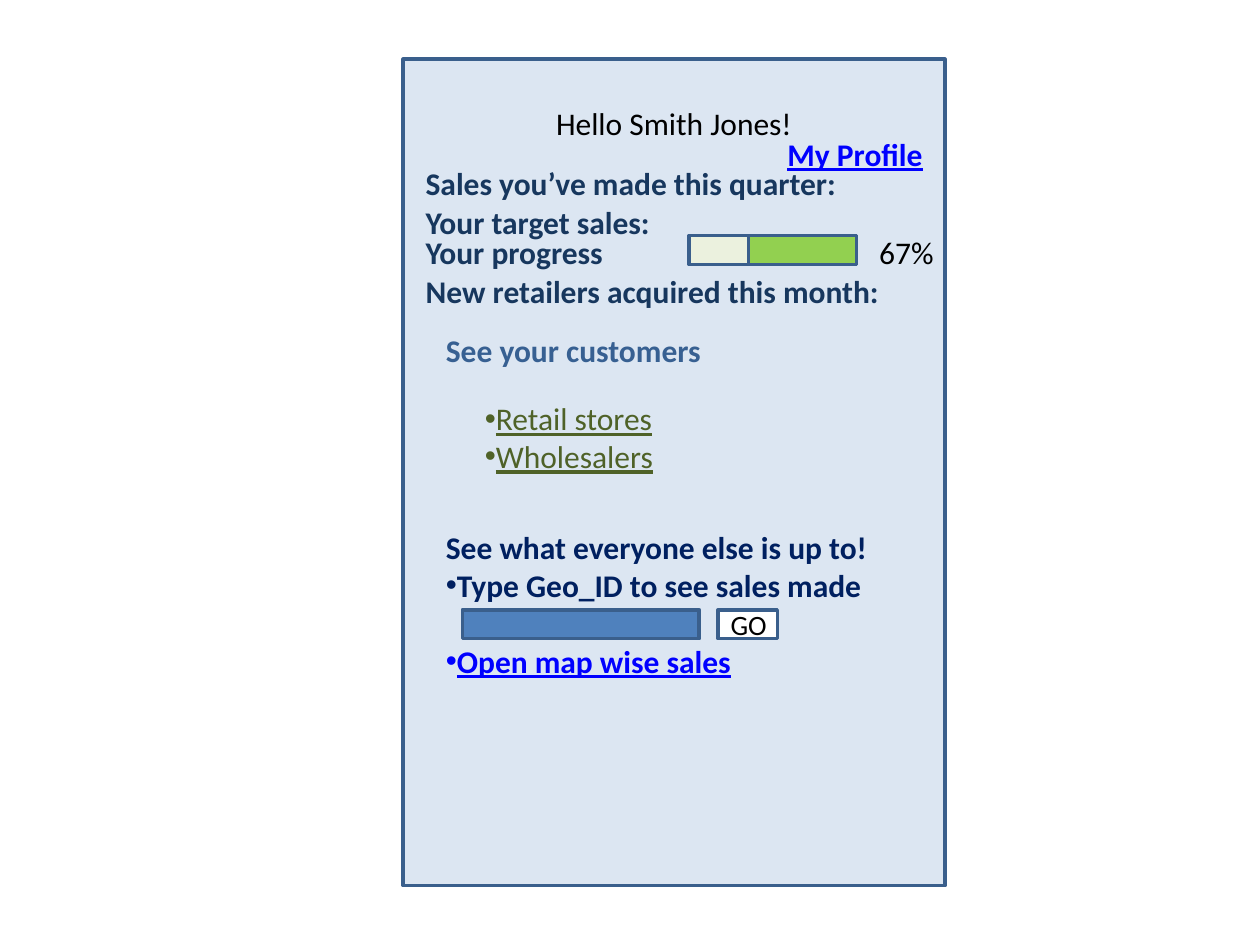
import pptx
import pptx.util
import pptx.dml.color
import pptx.enum.shapes
import pptx.enum.text
import lxml.etree
from pptx.oxml.ns import qn

Inches, Pt = pptx.util.Inches, pptx.util.Pt
ALIGN = pptx.enum.text.PP_ALIGN

HEX = {
    "panel": "DCE6F2", "edge": "3A5F8C", "rest": "EBF1DE", "done": "92D050",
    "field": "4F81BD", "white": "FFFFFF", "black": "000000", "stat": "17375E",
    "head": "376092", "store": "4F6228", "navy": "002060", "link": "0000FF",
}

# Boxes: left, top, width, height, fill
BAR_TOP, FORM_TOP, BAR_H = 1.87, 4.84, 0.23
BOXES = [
    (3.2, 0.47, 4.3, 6.56, "panel"),
    (5.47, BAR_TOP, 1.33, BAR_H, "rest"),
    (5.94, BAR_TOP, 0.86, BAR_H, "done"),
    (3.67, FORM_TOP, 1.88, BAR_H, "field"),
    (5.7, FORM_TOP, 0.47, BAR_H, "white"),
]

# Labels: left, top, width, height, align, lines
# Line: text, colour, style (b bold, u underline, * bullet, + gap above)
STAT, SIDE, LINE = 3.28, 3.44, 0.4
LABELS = [
    (3.75, 0.78, 3.2, LINE, ALIGN.CENTER, [("Hello Smith Jones!", "black", "")]),
    (5.94, 1.02, 1.48, LINE, ALIGN.RIGHT, [("My Profile", "link", "bu")]),
    (STAT, 1.25, 3.67, LINE, ALIGN.LEFT,
     [("Sales you’ve made this quarter:", "stat", "b")]),
    (STAT, 1.56, 2.81, LINE, ALIGN.LEFT, [("Your target sales: ", "stat", "b")]),
    (STAT, 1.8, 1.8, LINE, ALIGN.LEFT, [("Your progress", "stat", "b")]),
    (6.88, 1.8, 0.7, LINE, ALIGN.LEFT, [("67%", "black", "")]),
    (STAT, 2.11, 3.91, LINE, ALIGN.LEFT,
     [("New retailers acquired this month: ", "stat", "b")]),
    (SIDE, 2.58, 2.58, LINE, ALIGN.LEFT, [("See your customers", "head", "b")]),
    (3.75, 3.12, 2.42, 0.71, ALIGN.LEFT,
     [("Retail stores", "store", "u*"), ("Wholesalers", "store", "u*")]),
    (SIDE, 4.14, 3.75, 1.31, ALIGN.LEFT,
     [("See what everyone else is up to!", "navy", "b"),
      ("Type Geo_ID to see sales made", "navy", "b*"),
      ("Open map wise sales", "link", "bu*+")]),
    (5.7, 4.77, 0.78, 0.37, ALIGN.LEFT, [("GO", "black", "s")]),
]


def color(name):
    return pptx.dml.color.RGBColor.from_string(HEX[name])


def add_box(left, top, width, height, fill):
    box = slide.shapes.add_shape(
        pptx.enum.shapes.MSO_SHAPE.RECTANGLE,
        Inches(left), Inches(top), Inches(width), Inches(height))
    box.shadow.inherit = False
    box.fill.solid()
    box.fill.fore_color.rgb = color(fill)
    box.line.color.rgb = color("edge")
    box.line.width = Pt(2)


def add_label(left, top, width, height, align, lines):
    frame = slide.shapes.add_textbox(
        Inches(left), Inches(top), Inches(width), Inches(height)).text_frame
    frame.word_wrap = True
    frame.text = "\n".join(line[0] for line in lines)
    for para, (_, tint, style) in zip(frame.paragraphs, lines):
        para.alignment = align
        if "+" in style:
            para.space_before = Pt(22)
        if "*" in style:
            props = para._p.get_or_add_pPr()
            lxml.etree.SubElement(props, qn("a:buFont"), typeface="Arial")
            lxml.etree.SubElement(props, qn("a:buChar"), char="•")
        font = para.runs[0].font
        font.name = "Calibri"
        font.size = Pt(16 if "s" in style else 18)
        font.bold = "b" in style
        font.underline = "u" in style
        font.color.rgb = color(tint)


deck = pptx.Presentation()
deck.slide_width, deck.slide_height = Inches(10), Inches(7.5)
slide = deck.slides.add_slide(deck.slide_layouts[6])

# Panel, progress bar and form
for box in BOXES:
    add_box(*box)

# Text
for label in LABELS:
    add_label(*label)

deck.save("out.pptx")
